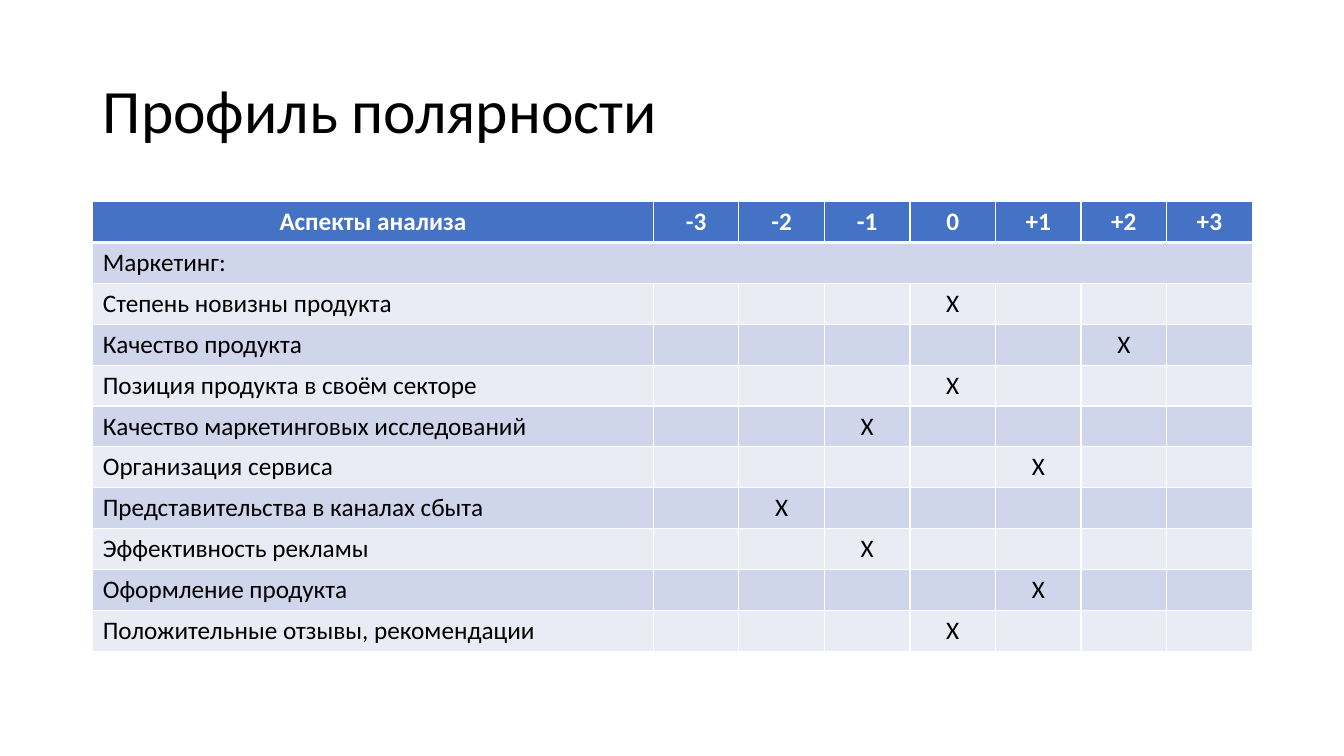
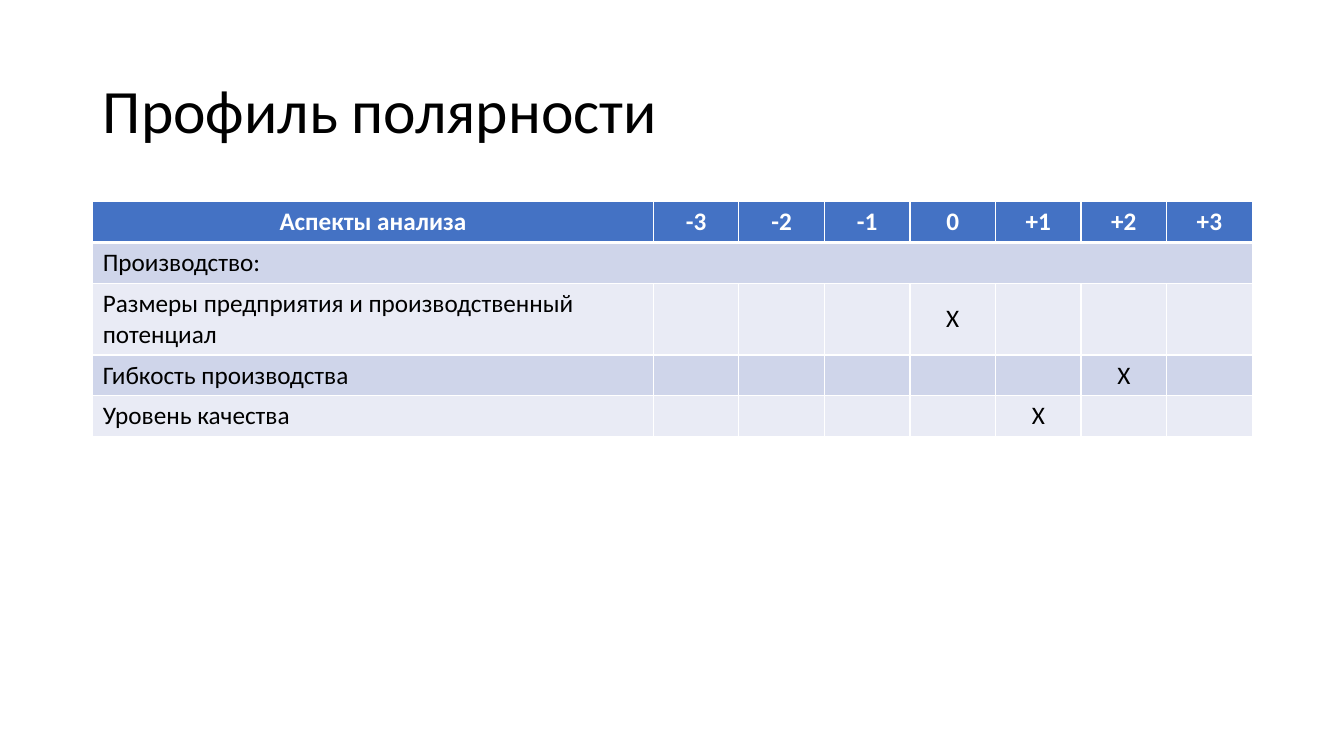
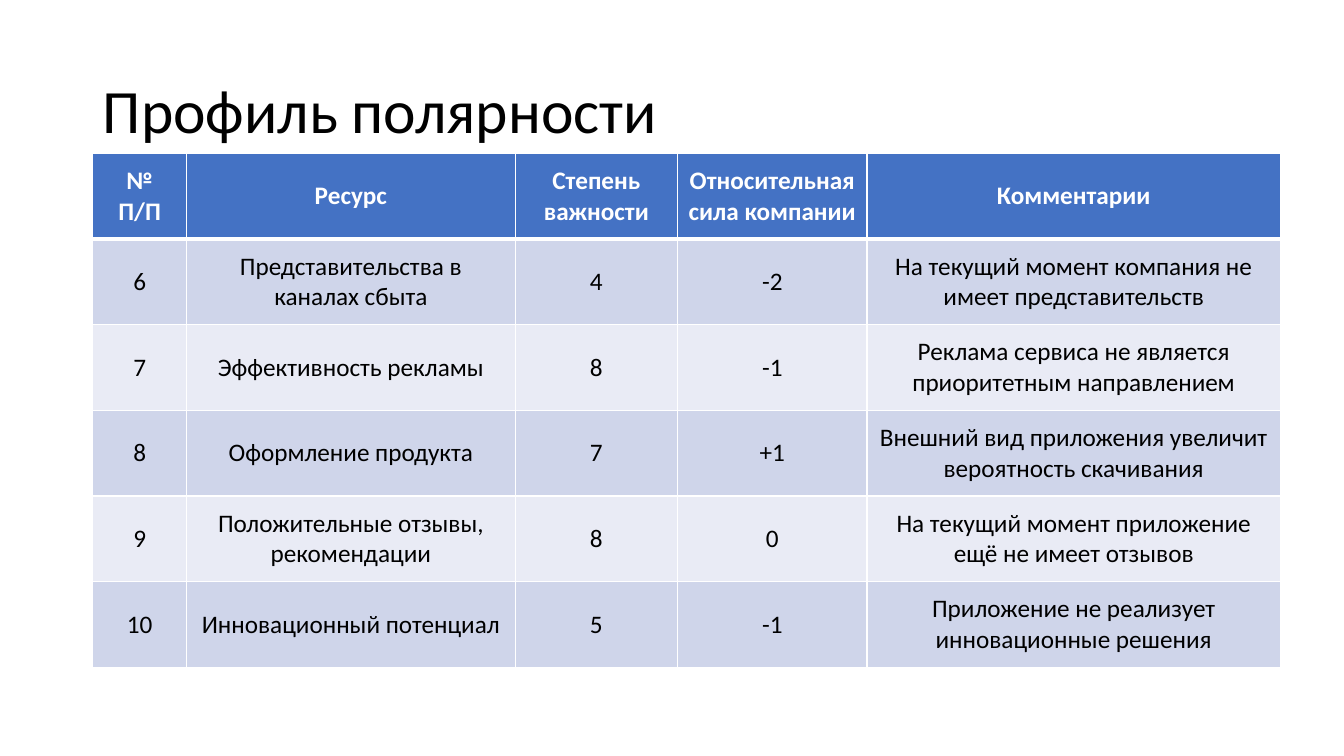
from lxml import etree
from pptx import Presentation
from pptx.dml.color import RGBColor
from pptx.enum.text import MSO_ANCHOR, PP_ALIGN
from pptx.oxml.ns import qn
from pptx.util import Inches, Pt

LEFT, CENTER = PP_ALIGN.LEFT, PP_ALIGN.CENTER
TOP, MIDDLE = MSO_ANCHOR.TOP, MSO_ANCHOR.MIDDLE
TITLE_ONLY = 5

COLORS = {
    "text": "000000",
    "white": "FFFFFF",
    "header": "4472C4",
    "band_dark": "CFD5EA",
    "band_light": "E9EBF5",
}
FONT = "Calibri"

# Slide content
TITLE = "Профиль полярности"
SCORES = ["-3", "-2", "-1", "0", "+1", "+2", "+3"]
PROFILES = [
    ("Маркетинг:", [
        ("Степень новизны продукта", "0"),
        ("Качество продукта", "+2"),
        ("Позиция продукта в своём секторе", "0"),
        ("Качество маркетинговых исследований", "-1"),
        ("Организация сервиса", "+1"),
        ("Представительства в каналах сбыта", "-2"),
        ("Эффективность рекламы", "-1"),
        ("Оформление продукта", "+1"),
        ("Положительные отзывы, рекомендации", "0"),
    ]),
    ("Производство:", [
        ("Размеры предприятия и производственный потенциал", "0"),
        ("Гибкость производства", "+2"),
        ("Уровень качества", "+1"),
    ]),
]
RESOURCES = [
    ["№ П/П", "Ресурс", "Степень важности", "Относительная сила компании",
     "Комментарии"],
    ["6", "Представительства в каналах сбыта", "4", "-2",
     "На текущий момент компания не имеет представительств"],
    ["7", "Эффективность рекламы", "8", "-1",
     "Реклама сервиса не является приоритетным направлением"],
    ["8", "Оформление продукта", "7", "+1",
     "Внешний вид приложения увеличит вероятность скачивания"],
    ["9", "Положительные отзывы, рекомендации", "8", "0",
     "На текущий момент приложение ещё не имеет отзывов"],
    ["10", "Инновационный потенциал", "5", "-1",
     "Приложение не реализует инновационные решения"],
]

# Table geometry in inches
TABLE_LEFT = 0.92
PROFILE_TOP, PROFILE_WIDTH, ASPECT_WIDTH = 2, 11.5, 5.56
PROFILE_ROW = 4.46 / 11
PROFILE_COLUMNS = [ASPECT_WIDTH] + (
    [(PROFILE_WIDTH - ASPECT_WIDTH) / len(SCORES)] * len(SCORES))
RESOURCE_TOP, RESOURCE_ROW = 1.52, 0.85
RESOURCE_COLUMNS = [0.93, 3.26, 1.61, 1.88, 4.1]


def write_text(text_frame, text, size=18, color="text", bold=False,
               align=LEFT, line_spacing=None):
    text_frame.text = text
    paragraph = text_frame.paragraphs[0]
    paragraph.alignment = align
    paragraph.line_spacing = line_spacing
    paragraph.font.size = Pt(size)
    for run in paragraph.runs:
        run.font.name = FONT
        run.font.size = Pt(size)
        run.font.bold = bold
        run.font.color.rgb = RGBColor.from_string(COLORS[color])


def add_borders(cell, top=1, bottom=1):
    """Draw white borders, with widths in points."""
    properties = cell._tc.get_or_add_tcPr()
    for side, width in (("L", 1), ("R", 1), ("T", top), ("B", bottom)):
        line = etree.SubElement(properties, qn(f"a:ln{side}"), w=str(Pt(width)))
        fill = etree.SubElement(line, qn("a:solidFill"))
        etree.SubElement(fill, qn("a:srgbClr"), val=COLORS["white"])


class Deck:
    def __init__(self):
        self.presentation = Presentation()
        self.presentation.slide_width = Inches(13.33)
        self.presentation.slide_height = Inches(7.5)
        self.slide = None

    def add_slide(self, title):
        layout = self.presentation.slide_layouts[TITLE_ONLY]
        self.slide = self.presentation.slides.add_slide(layout)
        shape = self.slide.shapes.title
        shape.left, shape.top = Inches(0.92), Inches(0.4)
        shape.width, shape.height = Inches(11.5), Inches(1.45)
        shape.text_frame.vertical_anchor = MIDDLE
        write_text(shape.text_frame, title, size=44, line_spacing=0.9)

    def add_table(self, rows, top, column_widths, row_height):
        """Add a banded table whose first row is the header."""
        table = self.slide.shapes.add_table(
            len(rows), len(column_widths), Inches(TABLE_LEFT), Inches(top),
            Inches(sum(column_widths)), Inches(row_height * len(rows))).table
        table.horz_banding = False
        for column, width in zip(table.columns, column_widths):
            column.width = Inches(width)
        for row_index, values in enumerate(rows):
            table.rows[row_index].height = Inches(row_height)
            for column_index, text in enumerate(values):
                self.style_cell(table.cell(row_index, column_index), text,
                                row_index)
        return table

    def style_cell(self, cell, text, row_index):
        header = row_index == 0
        band = "band_dark" if row_index % 2 else "band_light"
        add_borders(cell, top=3 if row_index == 1 else 1,
                    bottom=3 if header else 1)
        cell.fill.solid()
        cell.fill.fore_color.rgb = RGBColor.from_string(
            COLORS["header" if header else band])
        cell.vertical_anchor = MIDDLE
        write_text(cell.text_frame, text, bold=header, align=CENTER,
                   color="white" if header else "text")

    def add_profile(self, section, aspects):
        """Add a table that marks the score of each aspect."""
        rows = [["Аспекты анализа"] + SCORES, [section] + [""] * len(SCORES)]
        for aspect, score in aspects:
            rows.append([aspect] + ["X" if value == score else ""
                                    for value in SCORES])
        table = self.add_table(rows, PROFILE_TOP, PROFILE_COLUMNS, PROFILE_ROW)
        for row_index in range(1, len(rows)):
            cell = table.cell(row_index, 0)
            cell.vertical_anchor = TOP
            cell.text_frame.paragraphs[0].alignment = LEFT
        table.cell(1, 0).merge(table.cell(1, len(SCORES)))


def main():
    deck = Deck()

    # Polarity profiles
    for section, aspects in PROFILES:
        deck.add_slide(TITLE)
        deck.add_profile(section, aspects)

    # Resource comments
    deck.add_slide(TITLE)
    deck.add_table(RESOURCES, RESOURCE_TOP, RESOURCE_COLUMNS, RESOURCE_ROW)

    deck.presentation.save("out.pptx")


if __name__ == "__main__":
    main()
